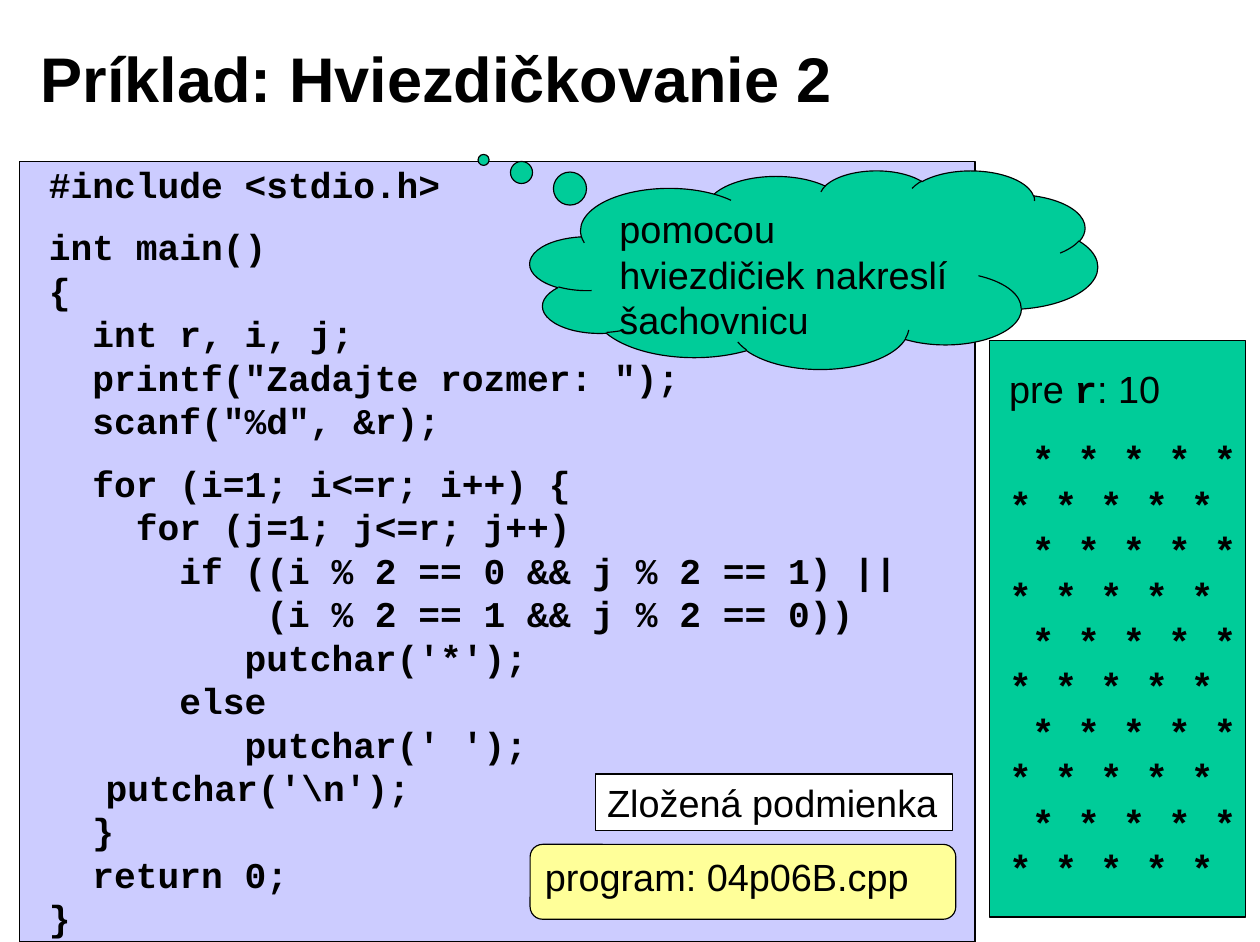
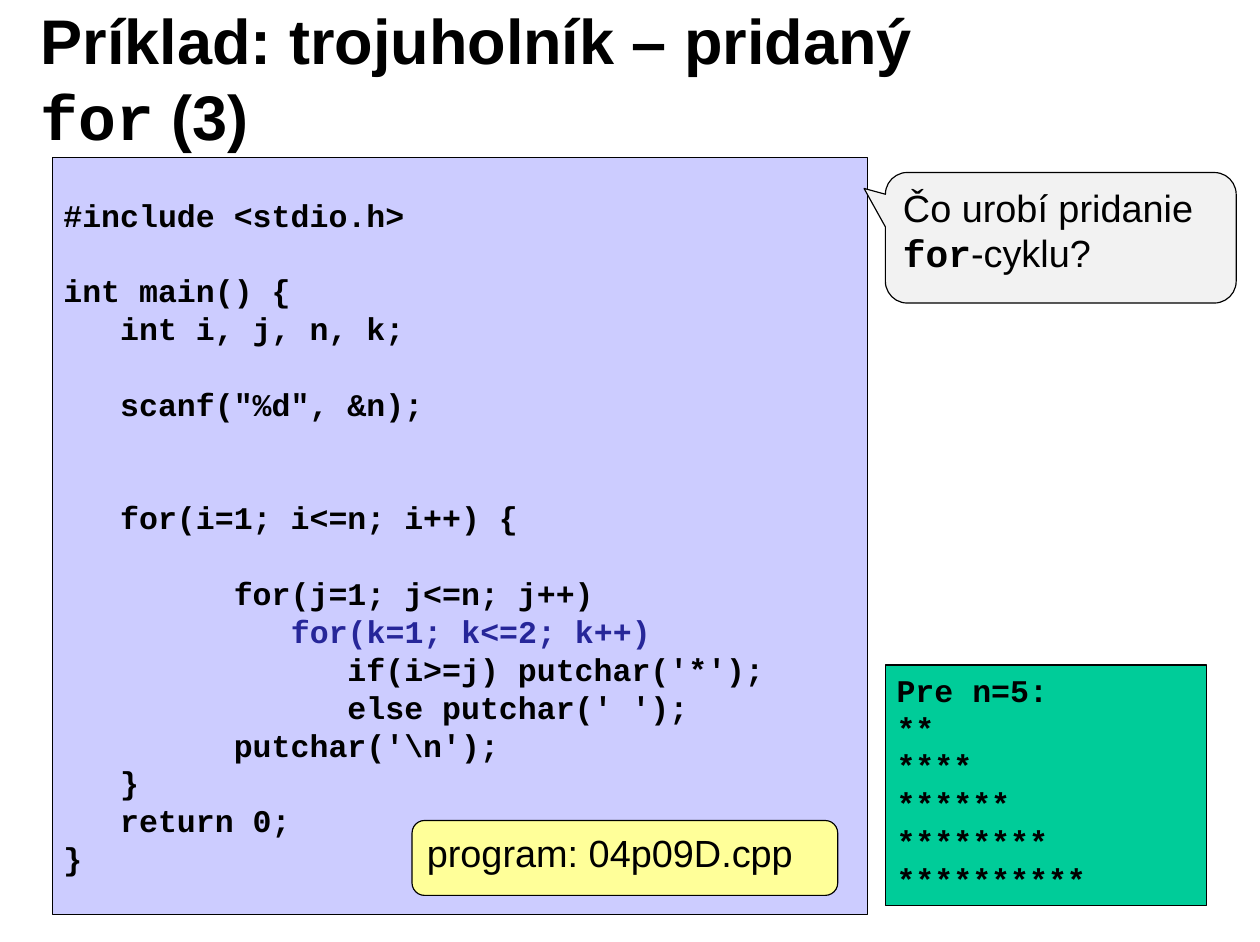
from dataclasses import dataclass

from pptx import Presentation
from pptx.dml.color import RGBColor
from pptx.enum.shapes import MSO_SHAPE as Preset
from pptx.enum.text import MSO_ANCHOR as Anchor, MSO_AUTO_SIZE as AutoSize, PP_ALIGN as Align
from pptx.util import Inches, Pt

COLUMNS, ROWS = 111, 83  # grid of square cells covering the slide
CELL = Inches(0.1)


@dataclass(frozen=True)
class Theme:
    black: str = "000000"
    white: str = "FFFFFF"
    code_fill: str = "CCCCFF"
    output_fill: str = "00CC99"
    file_fill: str = "FFFF99"
    question_fill: str = "F2F2F2"
    highlight: str = "262699"
    sans: str = "Arial"
    mono: str = "Courier New"
    title_size: float = 40
    body_size: float = 24
    code_size: float = 23
    small_code_size: float = 20
    line_width: float = 0.75


THEME = Theme()

CHESSBOARD_CODE = """#include <stdio.h>

int main()
{
  int r, i, j;
  printf("Zadajte rozmer: ");
  scanf("%d", &r);

  for (i=1; i<=r; i++) {
    for (j=1; j<=r; j++)
      if ((i % 2 == 0 && j % 2 == 1) ||
          (i % 2 == 1 && j % 2 == 0))
         putchar('*');
      else
         putchar(' ');
\tputchar('\\n');
  }
  return 0;
}"""

TRIANGLE_CODE = """#include <stdio.h>

int main() {
   int i, j, n, k;

   scanf("%d", &n);


   for(i=1; i<=n; i++) {

         for(j=1; j<=n; j++)
            for(k=1; k<=2; k++)
               if(i>=j) putchar('*');
               else putchar(' ');
         putchar('\\n');
   }
   return 0;
}"""


def style(font, size=None, color=None, name=None, bold=None):
    if size:
        font.size = Pt(size)
    if color:
        font.color.rgb = RGBColor.from_string(color)
    if name:
        font.name = name
    if bold is not None:
        font.bold = bold


def add_paragraph(frame, runs, size, name=THEME.sans, bold=False, before=0):
    """Add a paragraph; each run is a text or a (text, overrides) pair."""
    first = frame.paragraphs[0]
    paragraph = frame.add_paragraph() if first.runs else first
    paragraph.alignment = Align.LEFT
    paragraph.space_before = Pt(before)
    style(paragraph.font, size, THEME.black, name, bold)
    for item in runs:
        text, overrides = (item, {}) if isinstance(item, str) else item
        run = paragraph.add_run()
        run.text = text
        style(run.font, **overrides)


def mono(text):
    return text, {"name": THEME.mono, "bold": True}


def set_frame(frame, insets, anchor, wrap=True):
    frame.word_wrap = wrap
    frame.auto_size = AutoSize.NONE
    frame.vertical_anchor = anchor
    (frame.margin_left, frame.margin_top,
     frame.margin_right, frame.margin_bottom) = [Inches(inset) for inset in insets]


def place(shape, cells):
    shape.left, shape.top, shape.width, shape.height = [
        round(cell * CELL) for cell in cells]


def add_title(presentation, *runs):
    """Add a title-only slide with a formatted title."""
    slide = presentation.slides.add_slide(presentation.slide_layouts[5])
    title = slide.shapes.title
    place(title, (2.5, 1.7, 89.2, 10.2))
    set_frame(title.text_frame, (0.11, 0.06, 0.11, 0.06), Anchor.MIDDLE)
    add_paragraph(title.text_frame, runs, THEME.title_size, bold=True)
    return slide


def add_panel(slide, cells, fill, preset=Preset.RECTANGLE, adjustments=(),
              insets=(0.1, 0.05, 0.1, 0.05), anchor=Anchor.TOP, wrap=True):
    """Add an outlined shape and return its text frame."""
    shape = slide.shapes.add_shape(preset, 0, 0, CELL, CELL)
    place(shape, cells)
    for index, value in enumerate(adjustments):
        shape.adjustments[index] = value
    shape.shadow.inherit = False
    shape.fill.solid()
    shape.fill.fore_color.rgb = RGBColor.from_string(fill)
    shape.line.color.rgb = RGBColor.from_string(THEME.black)
    shape.line.width = Pt(THEME.line_width)
    set_frame(shape.text_frame, insets, anchor, wrap)
    return shape.text_frame


def add_code(frame, code, size, gap, highlight=None):
    """Write code lines; each empty line becomes space before the next one."""
    before = 0
    for line in code.split("\n"):
        if not line:
            before += gap
            continue
        runs = [line]
        if highlight and highlight in line:
            indent = line[:line.index(highlight)]
            runs = [indent, (highlight, {"color": THEME.highlight})]
        add_paragraph(frame, runs, size, THEME.mono, True, before)
        before = 0


def add_file_label(slide, left, top, file_name):
    frame = add_panel(slide, (left, top, 37.5, 6.6), THEME.file_fill,
                      Preset.ROUNDED_RECTANGLE, (0.167,))
    add_paragraph(frame, [f"program: {file_name}"], THEME.body_size)


def build_chessboard(presentation):
    slide = add_title(presentation, "Príklad: Hviezdičkovanie 2")

    # Program code
    frame = add_panel(slide, (1.7, 14.2, 84.2, 68.8), THEME.code_fill,
                      insets=(0.26, 0.01, 0.1, 0))
    add_code(frame, CHESSBOARD_CODE, THEME.code_size, gap=12)

    # Purpose of the program
    frame = add_panel(slide, (46.7, 15, 50, 17.5), THEME.output_fill,
                      Preset.CLOUD_CALLOUT, (-0.582, -0.552))
    add_paragraph(frame, ["pomocou hviezdičiek nakreslí šachovnicu"], THEME.body_size)

    # Output
    frame = add_panel(slide, (87.2, 30, 22.5, 50.8), THEME.output_fill,
                      insets=(0.17, 0.22, 0, 0.05))
    add_paragraph(frame, ["pre ", mono("r"), ": 10"], THEME.body_size)
    stars = " ".join("*" * 5)
    for row in range(10):
        line = stars if row % 2 else " " + stars
        add_paragraph(frame, [line], THEME.body_size, THEME.mono, True,
                      before=0 if row else 16)

    # Labels
    add_file_label(slide, 46.7, 74.4, "04p06B.cpp")
    frame = add_panel(slide, (52.5, 68.2, 31.4, 5), THEME.white, wrap=False)
    add_paragraph(frame, ["Zložená podmienka"], THEME.body_size)


def build_triangle(presentation):
    slide = add_title(presentation, "Príklad: trojuholník – pridaný ",
                      mono("for"), " (3)")

    # Output
    frame = add_panel(slide, (78, 58.6, 28.3, 21.2), THEME.output_fill)
    output = ["Pre n=5:"] + ["**" * row for row in range(1, 6)]
    add_code(frame, "\n".join(output), THEME.small_code_size, gap=0)

    # Program code
    frame = add_panel(slide, (4.6, 13.9, 71.8, 66.7), THEME.code_fill,
                      anchor=Anchor.MIDDLE)
    add_code(frame, TRIANGLE_CODE, THEME.small_code_size, gap=24,
             highlight="for(k=1; k<=2; k++)")

    # Question
    frame = add_panel(slide, (78, 15.2, 30.9, 11.5), THEME.question_fill,
                      Preset.ROUNDED_RECTANGULAR_CALLOUT, (-0.561, -0.378, 0.167))
    add_paragraph(frame, ["Čo urobí pridanie ", mono("for"), "-cyklu?"],
                  THEME.body_size)

    add_file_label(slide, 36.3, 72.3, "04p09D.cpp")


def main():
    presentation = Presentation()
    presentation.slide_width = COLUMNS * CELL
    presentation.slide_height = ROWS * CELL
    build_chessboard(presentation)
    build_triangle(presentation)
    presentation.save("out.pptx")


if __name__ == "__main__":
    main()
